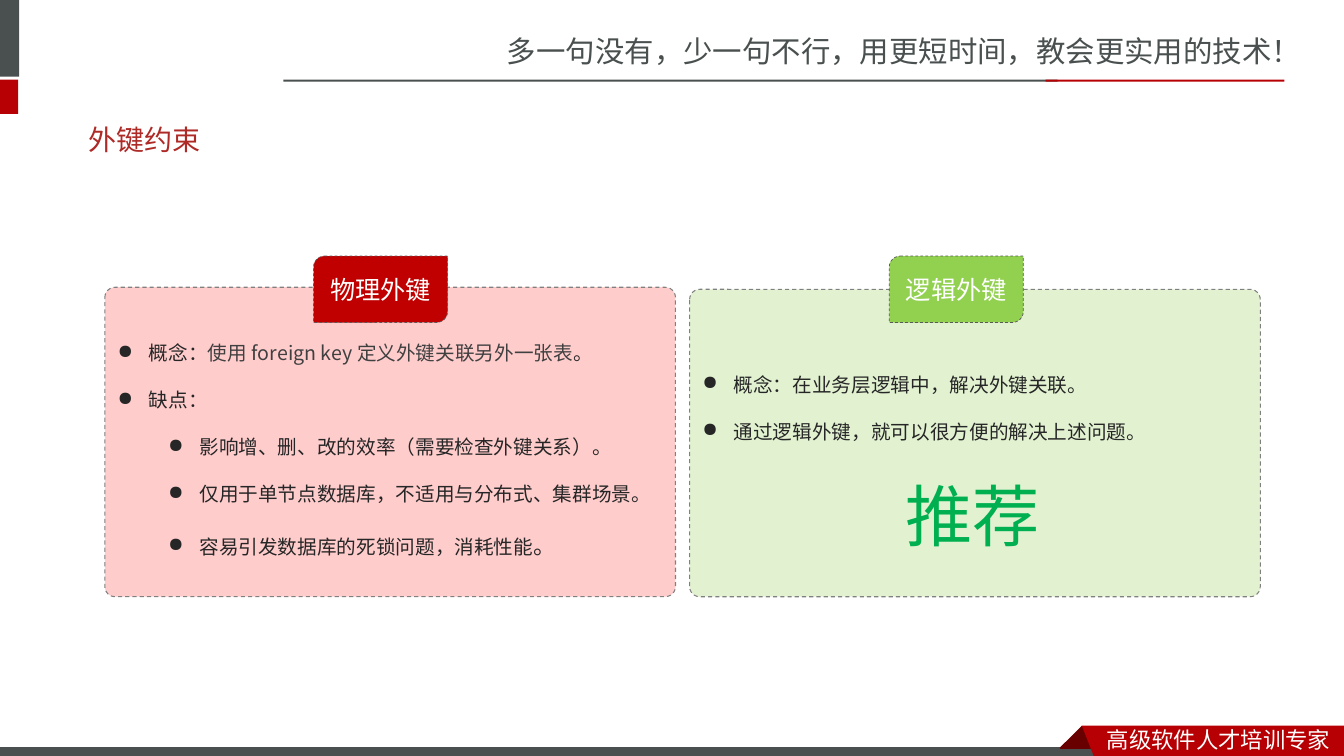
"""Build a slide comparing physical and logical foreign keys."""
from lxml import etree
from pptx import Presentation, util as u
from pptx.dml import color
from pptx.enum import dml, shapes, text
from pptx.oxml import ns

SANS, SANS_JP = "Noto Sans CJK SC", "Noto Sans CJK JP"
GREY, RED, WHITE, INK = "49504F", "B60004", "FFFFFF", "262626"


def paint(fill, shade):
    """Fill a shape, line or font with a solid colour."""
    fill.solid()
    fill.fore_color.rgb = color.RGBColor.from_string(shade)


def style(para, size, shade, latin, asian=SANS, align=text.PP_ALIGN.LEFT):
    """Set alignment and font of a paragraph."""
    para.alignment = align
    para.font.size = u.Pt(size)
    para.font.name = latin
    paint(para.font.fill, shade)
    defaults = para._p.pPr.find(ns.qn("a:defRPr"))
    etree.SubElement(defaults, ns.qn("a:ea"), typeface=asian)


deck = Presentation()
deck.slide_width, deck.slide_height = u.Inches(13.33), u.Inches(7.5)
page = deck.slides.add_slide(deck.slide_layouts[5])

title = page.shapes.title
title.left, title.top = u.Inches(0.78), u.Inches(1.1)
title.width, title.height = u.Inches(11.76), u.Inches(0.57)
title.text_frame.text = "外键约束"
title.text_frame.vertical_anchor = text.MSO_ANCHOR.MIDDLE
style(title.text_frame.paragraphs[0], 20, "AD2A26", "Lato")

bars = [
    ((-0.06, 0, 0.25, 0.76), GREY),
    ((-0.06, 0.79, 0.24, 0.34), RED),
    ((2.81, 0.79, 7.68, 0.02), GREY),
    ((10.37, 0.79, 2.37, 0.02), RED),
    ((-0.01, 7.41, 11, 0.12), GREY),
]
for place, shade in bars:
    bar = page.shapes.add_shape(shapes.MSO_SHAPE.RECTANGLE, *map(u.Inches, place))
    bar.shadow.inherit = False
    paint(bar.fill, shade)
    bar.line.fill.background()
paint(bar.line.fill, WHITE)
bar.line.width = u.Pt(0.75)

ribbons = [
    ([(10.73, 7.2), (10.95, 7.42), (10.94, 7.43), (10.52, 7.43), (10.51, 7.42)], "680000"),
    ([(10.73, 7.2), (13.33, 7.2), (13.33, 7.54), (10.86, 7.53)], RED),
]
for corners, shade in ribbons:
    points = [(u.Inches(x), u.Inches(y)) for x, y in corners]
    outline = page.shapes.build_freeform(*points[0])
    outline.add_line_segments(points[1:], close=True)
    ribbon = outline.convert_to_shape()
    ribbon.shadow.inherit = False
    paint(ribbon.fill, shade)
    ribbon.line.fill.background()

slogans = [
    ((4.93, 0.28, 8.41, 0.47), "多一句没有，少一句不行，用更短时间，教会更实用的技术！", 21, GREY),
    ((10.88, 7.15, 2.45, 0.37), "高级软件人才培训专家", 16, WHITE),
]
for place, words, size, shade in slogans:
    box = page.shapes.add_textbox(*map(u.Inches, place))
    box.text_frame.word_wrap = True
    box.text_frame.text = words
    style(box.text_frame.paragraphs[0], size, shade, SANS)

logical_points = [
    (0, ["概念：在业务层逻辑中，解决外键关联。"]),
    (0, ["通过逻辑外键，就可以很方便的解决上述问题。"]),
]
physical_points = [
    (0, ["概念：", "使用 foreign key 定义外键关联另外一张表", "。"]),
    (0, ["缺点："]),
    (1, ["影响增、删、改的效率（需要检查外键关系）。"]),
    (1, ["仅用于单节点数据库，不适用与分布式、集群场景。"]),
    (1, ["容易引发数据库的死锁问题，消耗性能", "。"]),
]
cards = [
    ((6.84, 2.87, 5.66, 3.05), "C7E6A4", 0.98, logical_points, 8.82, "逻辑外键", "92D050"),
    ((1.04, 2.85, 5.66, 3.07), "FF9B9B", 0.12, physical_points, 3.11, "物理外键", "C00000"),
]
for place, tint, bottom, points, tag_left, heading, tag_shade in cards:
    card = page.shapes.add_shape(shapes.MSO_SHAPE.ROUNDED_RECTANGLE, *map(u.Inches, place))
    card.adjustments[0] = 0.033
    tag = page.shapes.add_shape(
        shapes.MSO_SHAPE.ROUND_2_DIAG_RECTANGLE,
        *map(u.Inches, (tag_left, 2.54, 1.33, 0.66)))
    for shape, shade, edge, width in ((card, tint, "808080", 0.75),
                                      (tag, tag_shade, "595959", 0.5)):
        shape.shadow.inherit = False
        paint(shape.fill, shade)
        paint(shape.line.fill, edge)
        shape.line.width = u.Pt(width)
        shape.line.dash_style = dml.MSO_LINE.DASH
        shape.text_frame.vertical_anchor = text.MSO_ANCHOR.MIDDLE
    tint_color = card._element.spPr.find(ns.qn("a:solidFill"))[0]
    etree.SubElement(tint_color, ns.qn("a:alpha"), val="50000")

    tag.text_frame.text = heading
    style(tag.text_frame.paragraphs[0], 18, WHITE, "Calibri", align=text.PP_ALIGN.CENTER)

    frame = card.text_frame
    frame.margin_bottom = u.Inches(bottom)
    for number, (level, pieces) in enumerate(points):
        para = frame.add_paragraph() if number else frame.paragraphs[0]
        para.level = level
        for piece in pieces:
            para.add_run().text = piece
        layout = para._p.get_or_add_pPr()
        layout.set("marL", str(u.Inches(0.31 + 0.5 * level)))
        layout.set("indent", str(u.Inches(-0.31)))
        etree.SubElement(layout, ns.qn("a:buChar"), char="●")
        style(para, 14, INK, SANS_JP, SANS_JP)
        para.line_spacing = u.Pt(33.6)

concept, last = frame.paragraphs[0], frame.paragraphs[-1]
paint(concept.runs[1].font.fill, "404040")
last.runs[1].font.size = u.Pt(16)
last.line_spacing = u.Pt(38)

verdict = page.shapes.add_shape(
    shapes.MSO_SHAPE.OVAL, *map(u.Inches, (8.63, 4.65, 2.03, 0.92)))
verdict.shadow.inherit = False
verdict.fill.background()
verdict.line.fill.background()
frame = verdict.text_frame
frame.margin_left = frame.margin_right = frame.margin_top = frame.margin_bottom = 0
frame.vertical_anchor = text.MSO_ANCHOR.MIDDLE
frame.text = "推荐"
style(frame.paragraphs[0], 48, "00B050", SANS_JP, SANS_JP, text.PP_ALIGN.CENTER)

deck.save("out.pptx")
